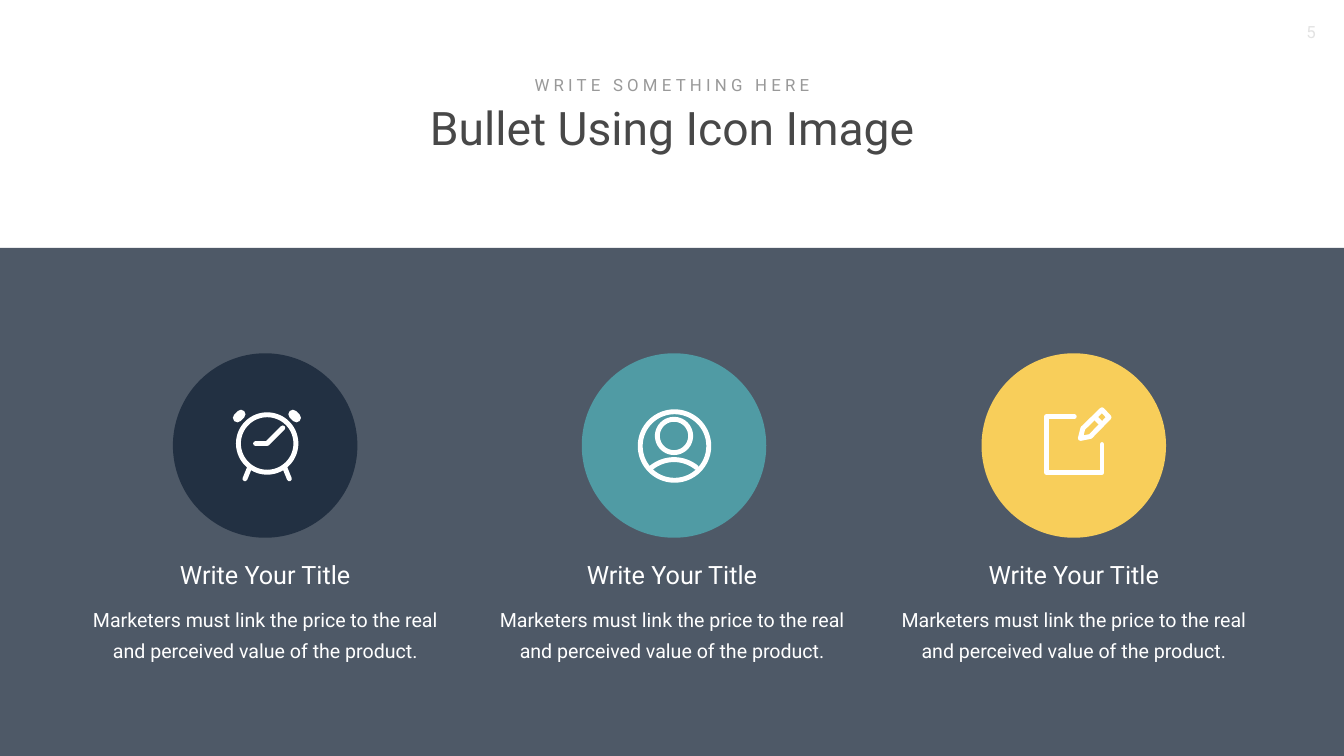
import math

import pptx
import pptx.dml.color
import pptx.enum.shapes
import pptx.enum.text
import pptx.oxml
import pptx.oxml.ns
import pptx.util
from pptx.util import Inches

FONT = "Roboto"
NAVY, WHITE = "223042", "FFFFFF"
DISC_SIZE, DISC_TOP = 3.66, 7.01
TITLE_SIZE, TITLE_TOP = (3.64, 0.71), 11.05
BODY_SIZE, BODY_TOP = (7.58, 1.25), 11.89
ICON_LINE, BELL_LINE = 7, 13

BODY = "Marketers must link the price to the real and perceived value of the product."
COLUMNS = [
    {"title": "Write Your Title", "body": BODY, "color": NAVY, "disc_x": 5.26, "text_x": 5.26},
    {"title": "Write Your Title", "body": BODY, "color": "509BA4", "disc_x": 13.37, "text_x": 13.33},
    {"title": "Write Your Title", "body": BODY, "color": "F8CE5A", "disc_x": 21.3, "text_x": 21.3},
]


def arc(x, y, radius, start=0, end=360, steps=72):
    angles = [math.radians(start + (end - start) * i / steps) for i in range(steps + 1)]
    return [(x + radius * math.cos(a), y + radius * math.sin(a)) for a in angles]


NOTE = [(21.31, 8.27), (20.76, 8.27), (20.76, 9.37), (21.86, 9.37), (21.86, 8.82)]
PENCIL = [(21.43, 8.7), (21.48, 8.5), (21.86, 8.13), (22, 8.28), (21.63, 8.66), (21.43, 8.7)]
PENCIL_BAND = [(21.75, 8.31), (21.83, 8.39)]
CLOCK_LEGS = [[(4.95, 9.28), (4.86, 9.5)], [(5.65, 9.28), (5.74, 9.5)]]
CLOCK_HANDS = [(5.07, 8.8), (5.3, 8.8), (5.61, 8.49)]
ICON_STROKES = [
    (ICON_LINE, [NOTE]),
    (ICON_LINE, [PENCIL, PENCIL_BAND]),
    (ICON_LINE, [arc(13.38, 8.85, 0.68), arc(13.37, 9.83, 0.71, 231, 309)]),
    (ICON_LINE, [arc(13.37, 8.65, 0.33)]),
    (ICON_LINE, [arc(5.3, 8.8, 0.57), *CLOCK_LEGS]),
    (ICON_LINE, [CLOCK_HANDS]),
    (BELL_LINE, [[(5.81, 8.22), (5.88, 8.29)]]),
    (BELL_LINE, [[(4.71, 8.29), (4.78, 8.22)]]),
]


def rgb(color):
    return pptx.dml.color.RGBColor.from_string(color)


def add_text(s, text, x, y, w, h, size, color, spacing=None, leading=None, wrap=True):
    sp = s.shapes.add_textbox(Inches(x), Inches(y), Inches(w), Inches(h))
    tf = sp.text_frame
    tf.word_wrap = wrap
    p = tf.paragraphs[0]
    p.alignment = pptx.enum.text.PP_ALIGN.CENTER
    if leading:
        p.line_spacing = pptx.util.Pt(leading)
    r = p.add_run()
    r.text = text
    r.font.name = FONT
    r.font.size = pptx.util.Pt(size)
    r.font.color.rgb = rgb(color)
    if spacing:
        r.font._element.set("spc", str(spacing * 100))


def add_filled(s, kind, x, y, w, h, color, opacity=None):
    sp = s.shapes.add_shape(kind, Inches(x), Inches(y), Inches(w), Inches(h))
    sp.shadow.inherit = False
    sp.line.fill.background()
    sp.fill.solid()
    sp.fill.fore_color.rgb = rgb(color)
    if opacity:
        clr = sp._element.spPr.find(".//" + pptx.oxml.ns.qn("a:srgbClr"))
        alpha = pptx.oxml.parse_xml(f'<a:alpha {pptx.oxml.ns.nsdecls("a")} val="{opacity * 1000}"/>')
        clr.append(alpha)


def add_stroke(s, width, contours):
    contours = [[(Inches(x), Inches(y)) for x, y in c] for c in contours]
    builder = s.shapes.build_freeform(*contours[0][0])
    for i, points in enumerate(contours):
        if i:
            builder.move_to(*points[0])
        builder.add_line_segments(points[1:], close=points[0] == points[-1])
    sp = builder.convert_to_shape()
    sp.shadow.inherit = False
    sp.fill.background()
    sp.line.color.rgb = rgb(WHITE)
    sp.line.width = pptx.util.Pt(width)
    ln = sp.line._get_or_add_ln()
    ln.set("cap", "rnd")
    ln.append(pptx.oxml.parse_xml(f'<a:round {pptx.oxml.ns.nsdecls("a")}/>'))


def main():
    prs = pptx.Presentation()
    prs.slide_width, prs.slide_height = Inches(26.66), Inches(15)
    s = prs.slides.add_slide(prs.slide_layouts[6])
    shape = pptx.enum.shapes.MSO_SHAPE

    add_text(s, "Bullet Using Icon Image", 7.1, 1.93, 12.47, 1.21, 66, "484848")
    add_text(s, "WRITE SOMETHING HERE", 10.35, 1.43, 5.96, 0.5, 24, "999999", spacing=6)
    add_text(s, "5", 25.61, 0.38, 0.8, 0.5, 24, "E3E3E3")
    add_filled(s, shape.RECTANGLE, 0, 4.92, 26.66, 10.08, NAVY, opacity=80)

    for col in COLUMNS:
        left = col["disc_x"] - DISC_SIZE / 2
        add_filled(s, shape.OVAL, left, DISC_TOP, DISC_SIZE, DISC_SIZE, col["color"])
    for col in COLUMNS:
        w, h = TITLE_SIZE
        add_text(s, col["title"], col["text_x"] - w / 2, TITLE_TOP, w, h, 36, WHITE, wrap=False)
        w, h = BODY_SIZE
        add_text(s, col["body"], col["text_x"] - w / 2, BODY_TOP, w, h, 28, WHITE, leading=43)
    for width, contours in ICON_STROKES:
        add_stroke(s, width, contours)

    prs.save("out.pptx")


if __name__ == "__main__":
    main()
